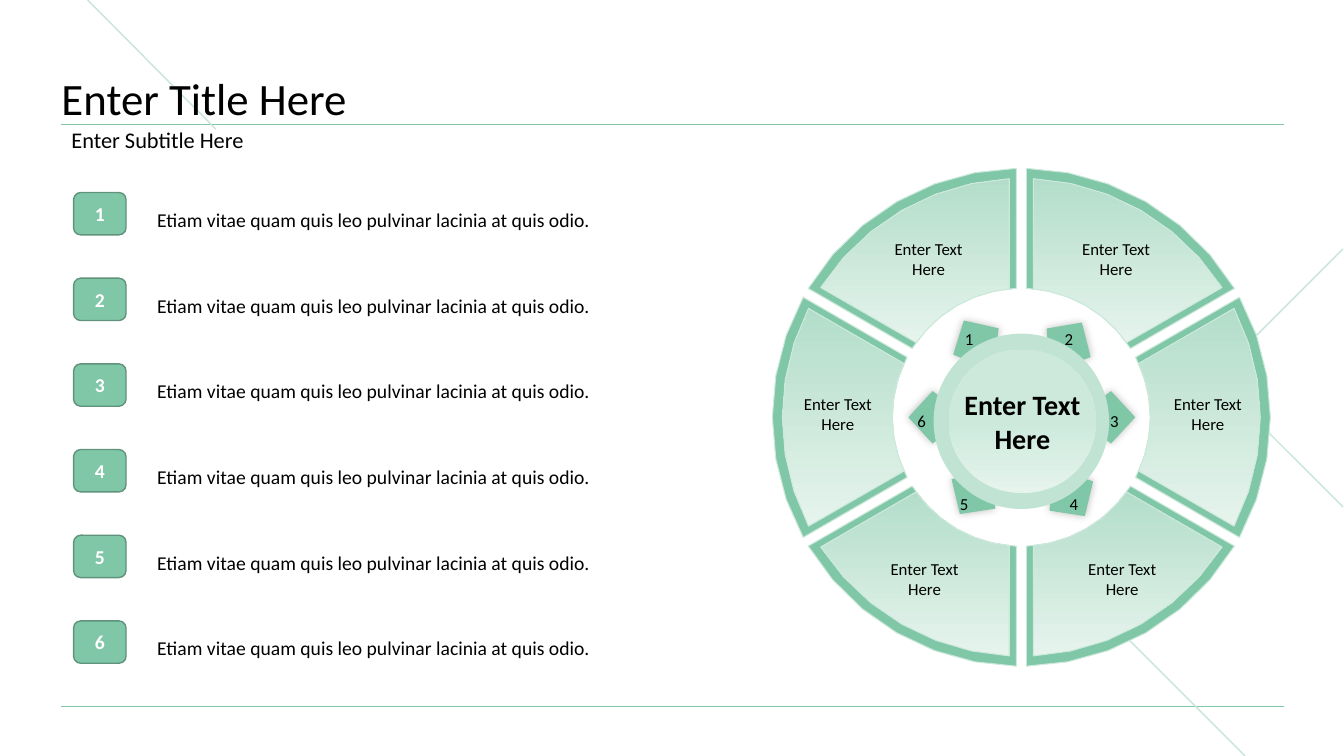
from math import asin, cos, pi, radians, sin

from lxml.etree import SubElement
from pptx import Presentation
from pptx.dml.color import RGBColor
from pptx.enum.shapes import MSO_CONNECTOR as Link, MSO_SHAPE as Preset
from pptx.enum.text import MSO_ANCHOR as Anchor, PP_ALIGN as Align
from pptx.oxml.ns import qn
from pptx.util import Inches, Pt

FONT = "Calibri"
GREEN, PALE, LIGHT, MIST = "80C7A7", "CCE9DC", "C6E6D7", "E6F4ED"
SEGMENT_TEXT = "Enter Text Here"
ITEM_TEXT = "Etiam vitae quam quis leo pulvinar lacinia at quis odio."
ITEM_COUNT = 6

SEGMENT_CENTRES = [(-0.92, -1.58), (0.94, -1.58), (1.85, -0.04),
                   (1, 1.6), (-0.96, 1.6), (-1.82, -0.04)]
POINTERS = [(-0.57, -0.96, -120), (0.6, -0.94, -57), (1.13, 0, 0),
            (0.63, 0.98, 56), (-0.61, 0.96, 124), (-1.12, 0, 180)]
NUMBER_CORNERS = [(-0.6, -1.02), (0.39, -1.02), (0.84, -0.21),
                  (0.44, 0.62), (-0.65, 0.62), (-1.07, -0.21)]
POINTER_OUTLINE = [(0, 0), (-0.24, -0.26), (-0.32, -0.2), (-0.31, -0.15),
                   (-0.53, -0.15), (-0.53, 0.15), (-0.31, 0.15), (-0.32, 0.2),
                   (-0.24, 0.26)]


def rgb(value):
    """Turn a hex string into a colour."""
    return RGBColor.from_string(value)


def write(frame, text, size=12, color="000000", bold=False, align=Align.LEFT,
          anchor=Anchor.MIDDLE, spacing=1.0, inset=None, wrap=True):
    """Put one formatted paragraph into a text frame."""
    frame.word_wrap = wrap
    frame.vertical_anchor = anchor
    if inset is not None:
        frame.margin_left = frame.margin_right = Inches(inset)
        frame.margin_top = frame.margin_bottom = Inches(inset)
    para = frame.paragraphs[0]
    para.alignment = align
    para.line_spacing = spacing
    span = para.add_run()
    span.text = text
    span.font.name = FONT
    span.font.size = Pt(size)
    span.font.bold = bold
    span.font.color.rgb = rgb(color)


def add_text(page, left, top, width, height, text, **style):
    """Add a text box with one formatted paragraph."""
    box = page.shapes.add_textbox(*map(Inches, (left, top, width, height)))
    write(box.text_frame, text, **style)


def paint(shape, fill=None, gradient=None, line=None, weight=0.75):
    """Set fill and outline; a gradient is bottom, top and where top is reached."""
    shape.shadow.inherit = False
    if gradient:
        bottom, top, reach = gradient
        shape.fill.gradient()
        shape.fill.gradient_angle = 90
        first, last = shape.fill.gradient_stops
        first.color.rgb, last.color.rgb = rgb(bottom), rgb(top)
        first.position, last.position = 0, reach
    elif fill:
        shape.fill.solid()
        shape.fill.fore_color.rgb = rgb(fill)
    else:
        shape.fill.background()
    if line:
        shape.line.color.rgb = rgb(line)
        shape.line.width = Pt(weight)
    else:
        shape.line.fill.background()


def add_preset(page, preset, left, top, width, height, **look):
    """Add a painted preset shape."""
    shape = page.shapes.add_shape(preset, *map(Inches, (left, top, width, height)))
    paint(shape, **look)
    return shape


def add_outline(page, points, close=True, **look):
    """Add a painted freeform through points given in inches."""
    corners = [(Inches(x), Inches(y)) for x, y in points]
    builder = page.shapes.build_freeform(*corners[0])
    builder.add_line_segments(corners[1:], close=close)
    shape = builder.convert_to_shape()
    paint(shape, **look)
    return shape


def add_line(page, start, end, color, weight):
    """Add a plain straight line."""
    line = page.shapes.add_connector(Link.STRAIGHT, *map(Inches, start + end))
    line.line.color.rgb = rgb(color)
    line.line.width = Pt(weight)
    SubElement(line.element.spPr, qn("a:effectLst"))


def add_glow(shape):
    """Give a shape a soft shadow all round."""
    effects = shape.element.spPr.find(qn("a:effectLst"))
    shadow = SubElement(effects, qn("a:outerShdw"), blurRad=str(Pt(6)), dist="0")
    black = SubElement(shadow, qn("a:srgbClr"), val="000000")
    SubElement(black, qn("a:alpha"), val="25000")


def add_backdrop(page, left, right):
    """Draw the two rules and the slanted lines."""
    for y in (7.01, 1.23):
        add_line(page, (left, y), (right, y), GREEN, 0.5)
    add_line(page, (11.11, 6.26), (12.35, 7.5), LIGHT, 1)
    add_line(page, (0.87, 0), (2.14, 1.28), LIGHT, 1)
    add_outline(page, [(13.32, 2.47), (12.04, 3.75), (13.32, 5.03)],
                close=False, line=LIGHT, weight=1)


def add_heading(page, left, top, width):
    """Place the title and the subtitle under it."""
    title = page.shapes.title
    page.shapes.element.append(title.element)
    title.left, title.top = Inches(left), Inches(top)
    title.width, title.height = Inches(width), Inches(0.8)
    write(title.text_frame, "Enter Title Here", size=32, anchor=Anchor.BOTTOM,
          spacing=0.9, inset=0)
    add_text(page, left, top + 0.79, width, 0.34, "Enter Subtitle Here",
             size=16, spacing=0.9)


def add_list(page, left, top, width, pitch):
    """Stack the numbered items."""
    for index in range(ITEM_COUNT):
        y = top + index * pitch
        badge = add_preset(page, Preset.ROUNDED_RECTANGLE, left, y + 0.11, 0.52, 0.42,
                           fill=GREEN, line="5F937C", weight=1)
        write(badge.text_frame, str(index + 1), size=14, color="FFFFFF", bold=True,
              align=Align.CENTER)
        add_text(page, left + 0.73, y, width - 0.73, 0.64, ITEM_TEXT, size=14,
                 spacing=1.5)


def ring_piece(x, y, start, inner, outer, gap, steps=6):
    """Return a sixth of a ring whose sides keep a gap to the dividers."""
    points = []
    for radius, order in ((outer, range(steps + 1)), (inner, range(steps, -1, -1))):
        trim = asin(gap / radius)
        sweep = pi / 3 - 2 * trim
        for step in order:
            angle = radians(start) + trim + sweep * step / steps
            points.append((x + radius * cos(angle), y + radius * sin(angle)))
    return points


def pointer(x, y, degrees):
    """Return the pointer outline turned about its tip."""
    c, s = cos(radians(degrees)), sin(radians(degrees))
    return [(x + c * u - s * v, y + s * u + c * v) for u, v in POINTER_OUTLINE]


def add_wheel(page, left, top, size):
    """Draw the ring, the pointers, the hub and their labels."""
    radius = size / 2
    x, y = left + radius, top + radius
    for index in range(ITEM_COUNT):
        start = index * 60 - 150
        add_outline(page, ring_piece(x, y, start, 1.28, radius, 0.05),
                    fill=GREEN, line=PALE)
        add_outline(page, ring_piece(x, y, start, 1.28, radius - 0.1, 0.12),
                    gradient=(MIST, "B3DDCA", 1), line=PALE)
    for dx, dy, degrees in POINTERS:
        add_glow(add_outline(page, pointer(x + dx, y + dy, degrees), fill=GREEN))
    add_preset(page, Preset.OVAL, x - 0.87, y - 0.83, 1.74, 1.74, fill="C0E3D3")
    for dx, dy in SEGMENT_CENTRES:
        add_text(page, x + dx - 0.51, y + dy - 0.41, 1.02, 0.83, SEGMENT_TEXT,
                 align=Align.CENTER)
    hub = add_preset(page, Preset.ROUNDED_RECTANGLE, x - 0.72, y - 0.67, 1.46, 1.42,
                     gradient=(MIST, PALE, 0.5))
    hub.adjustments[0] = 0.5
    add_text(page, x - 0.95, y - 0.34, 1.92, 0.76, SEGMENT_TEXT, size=20, bold=True,
             align=Align.CENTER, anchor=Anchor.TOP)
    for number, (dx, dy) in enumerate(NUMBER_CORNERS, 1):
        add_text(page, x + dx, y + dy, 0.16, 0.37, str(number), spacing=1.5,
                 anchor=Anchor.TOP, inset=0.04, wrap=False)


def main():
    """Build and save the deck."""
    deck = Presentation()
    deck.slide_width, deck.slide_height = Inches(13.33), Inches(7.5)
    page = deck.slides.add_slide(deck.slide_layouts.get_by_name("Title Only"))
    add_backdrop(page, 0.61, 12.73)
    add_heading(page, 0.61, 0.44, 12.12)
    add_wheel(page, 7.66, 1.67, 4.94)
    add_list(page, 0.73, 1.8, 6.44, 0.85)
    deck.save("out.pptx")


if __name__ == "__main__":
    main()
